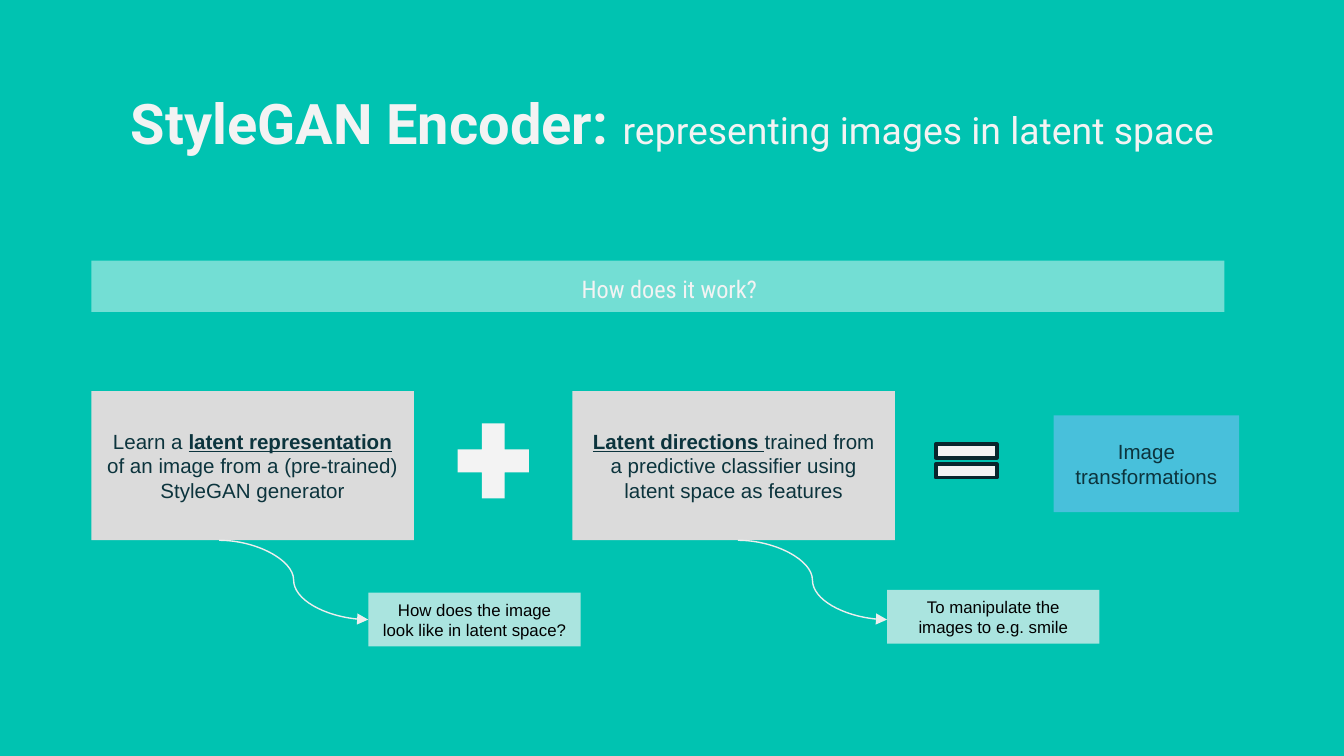
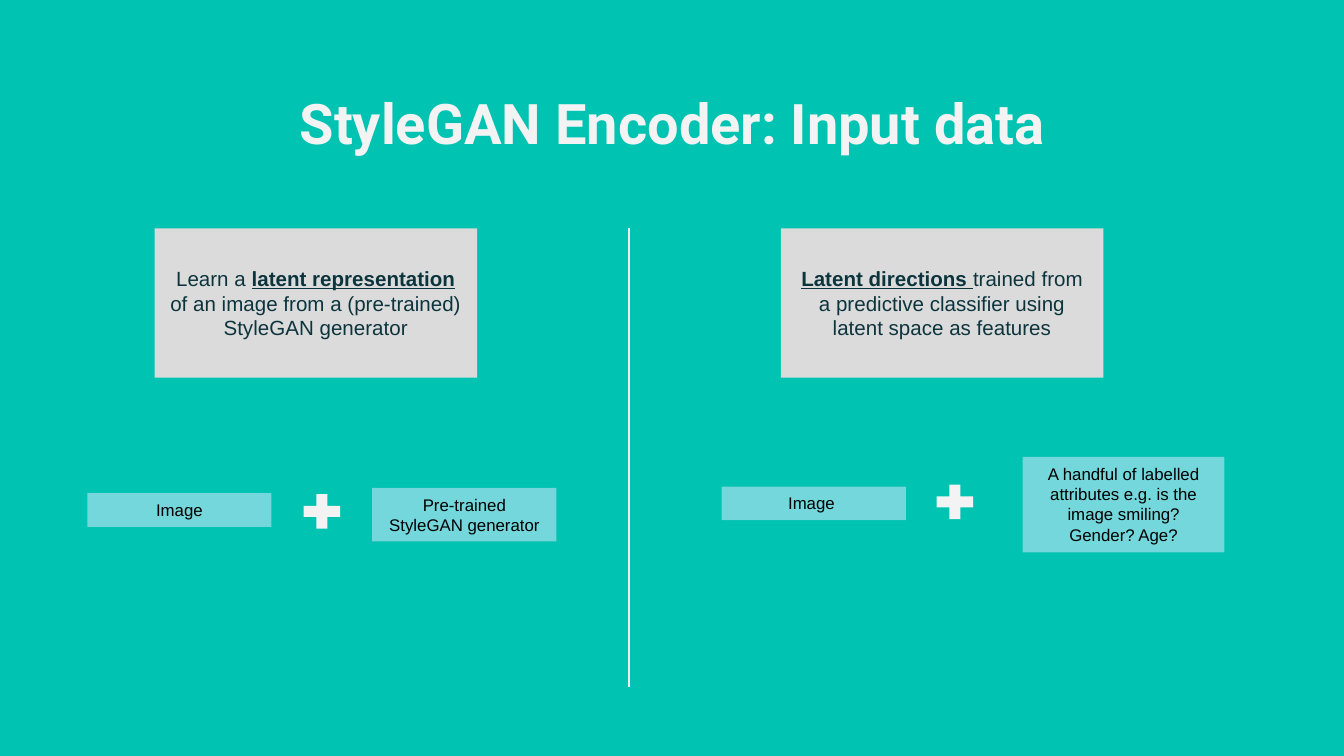
from lxml import etree
from pptx import Presentation
from pptx import util as u
from pptx.dml.color import RGBColor
from pptx.enum import shapes, text
from pptx.oxml.ns import qn

# Shared look
TEAL, WHITE, PALE, LINE = "00C3B1", "FFFFFF", "F3F3F3", "EEEEEE"
GREY, SKY, ICE = "DBDBDB", "48C0DB", "A4E0ED"
INK, OUTLINE, BLACK = "0C343D", "09262D", "000000"
RECT = shapes.MSO_SHAPE.RECTANGLE
PLUS = shapes.MSO_SHAPE.MATH_PLUS
EQUAL = shapes.MSO_SHAPE.MATH_EQUAL
CURVE, STRAIGHT = shapes.MSO_CONNECTOR.CURVE, shapes.MSO_CONNECTOR.STRAIGHT
TOP, MIDDLE = text.MSO_ANCHOR.TOP, text.MSO_ANCHOR.MIDDLE

# The two steps, as (words, emphasised) spans
LEARN = [("Learn a ", False), ("latent representation ", True),
         ("of an image from a (pre-trained) StyleGAN generator", False)]
DIRECTIONS = [("Latent directions ", True),
              ("trained from a predictive classifier using latent space as features", False)]


def color(code):
    return RGBColor.from_string(code)


def inches(*values):
    return [u.Inches(value) for value in values]


def style_paragraph(para, size, face, code):
    para.alignment = text.PP_ALIGN.CENTER
    para.font.size = u.Pt(size)
    para.font.name = face
    para.font.color.rgb = color(code)


def set_frame(frame, anchor, inset_y):
    frame.word_wrap = True
    frame.vertical_anchor = anchor
    frame.margin_left = frame.margin_right = u.Inches(0.1)
    frame.margin_top = frame.margin_bottom = u.Inches(inset_y)


def add_figure(slide, kind, at, fill, opacity=100, outline=None):
    shape = slide.shapes.add_shape(kind, *inches(*at))
    shape.shadow.inherit = False
    shape.fill.solid()
    shape.fill.fore_color.rgb = color(fill)
    if opacity < 100:
        tint = shape.element.spPr.find(".//" + qn("a:srgbClr"))
        etree.SubElement(tint, qn("a:alpha")).set("val", str(opacity * 1000))
    if outline:
        shape.line.color.rgb = color(outline)
        shape.line.width = u.Pt(2)
    else:
        shape.line.fill.background()
    return shape


def add_box(slide, at, spans, fill=GREY):
    box = add_figure(slide, RECT, at, fill)
    set_frame(box.text_frame, MIDDLE, 0.05)
    para = box.text_frame.paragraphs[0]
    style_paragraph(para, 11, "Arial", INK)
    for words, strong in spans:
        span = para.add_run()
        span.text = words
        if strong:
            span.font.bold = span.font.underline = True


def add_label(slide, at, words, fill):
    label = add_figure(slide, RECT, at, fill, 70)
    set_frame(label.text_frame, TOP, 0.05)
    label.text_frame.auto_size = text.MSO_AUTO_SIZE.SHAPE_TO_FIT_TEXT
    para = label.text_frame.paragraphs[0]
    para.text = words
    style_paragraph(para, 9, "Arial", BLACK)


def add_line(slide, kind, ends, arrow=False):
    line = slide.shapes.add_connector(kind, *inches(*ends))
    line.line.color.rgb = color(LINE)
    line.line.width = u.Pt(0.75)
    properties = line.element.spPr
    if arrow:
        tail = etree.SubElement(properties.find(qn("a:ln")), qn("a:tailEnd"))
        tail.set("type", "triangle")
    etree.SubElement(properties, qn("a:effectLst"))


def add_band(slide, at, words):
    band = add_figure(slide, RECT, at, WHITE, 45)
    set_frame(band.text_frame, TOP, 0.1)
    para = band.text_frame.paragraphs[0]
    para.text = words
    indent = para._p.get_or_add_pPr()
    indent.set("marL", str(u.Inches(0.17)))
    indent.set("indent", "0")
    style_paragraph(para, 13, "Roboto Condensed", PALE)


def add_slide(deck, heading, subheading=""):
    slide = deck.slides.add_slide(deck.slide_layouts[5])
    slide.background.fill.solid()
    slide.background.fill.fore_color.rgb = color(TEAL)
    title = slide.shapes.title
    title.left, title.top, title.width, title.height = inches(0.79, 0.56, 8.43, 0.63)
    set_frame(title.text_frame, TOP, 0.1)
    title.text_frame.auto_size = text.MSO_AUTO_SIZE.NONE
    para = title.text_frame.paragraphs[0]
    style_paragraph(para, 30, "Roboto", PALE)
    para.font.bold = True
    para.add_run().text = heading
    if subheading:
        span = para.add_run()
        span.text = subheading
        span.font.size = u.Pt(20)
        span.font.bold = False
    return slide


def build_method(deck):
    slide = add_slide(deck, "StyleGAN Encoder: ", "representing images in latent space")
    add_band(slide, (0.68, 1.94, 8.43, 0.38), "How does it work?")

    # Equation: representation + directions = transformations
    add_box(slide, (0.68, 2.91, 2.4, 1.11), LEARN)
    add_figure(slide, PLUS, (3.31, 3.05, 0.72, 0.76), PALE)
    add_box(slide, (4.26, 2.91, 2.4, 1.11), DIRECTIONS)
    add_figure(slide, EQUAL, (6.88, 3.22, 0.62, 0.42), PALE, outline=OUTLINE)
    add_box(slide, (7.84, 3.09, 1.38, 0.72), [("Image transformations", False)], SKY)

    # Explanations hanging from the two steps
    for left, top, words in [
        (6.6, 4.39, "To manipulate the images to e.g. smile"),
        (2.74, 4.41, "How does the image look like in latent space?"),
    ]:
        add_line(slide, CURVE, (left - 1.11, 4.02, left, 4.61), arrow=True)
        add_label(slide, (left, top, 1.58, 0.4), words, PALE)


def build_input_data(deck):
    slide = add_slide(deck, "StyleGAN Encoder: Input data")

    # Steps either side of the divider
    add_box(slide, (1.15, 1.7, 2.4, 1.11), LEARN)
    add_line(slide, STRAIGHT, (4.68, 1.7, 4.68, 5.11))
    add_box(slide, (5.81, 1.7, 2.4, 1.11), DIRECTIONS)

    # Inputs of the representation
    add_label(slide, (0.65, 3.67, 1.37, 0.25), "Image", ICE)
    add_figure(slide, PLUS, (2.21, 3.63, 0.37, 0.35), PALE)
    add_label(slide, (2.77, 3.63, 1.37, 0.4), "Pre-trained StyleGAN generator", ICE)

    # Inputs of the directions
    add_label(slide, (5.37, 3.62, 1.37, 0.25), "Image ", ICE)
    add_figure(slide, PLUS, (6.92, 3.56, 0.37, 0.35), PALE)
    add_label(slide, (7.61, 3.4, 1.5, 0.71),
              "A handful of labelled attributes e.g. is the image smiling? Gender? Age?", ICE)


def main():
    deck = Presentation()
    deck.slide_width = u.Inches(10)
    deck.slide_height = deck.slide_width * 9 // 16
    build_method(deck)
    build_input_data(deck)
    deck.save("out.pptx")


if __name__ == "__main__":
    main()
